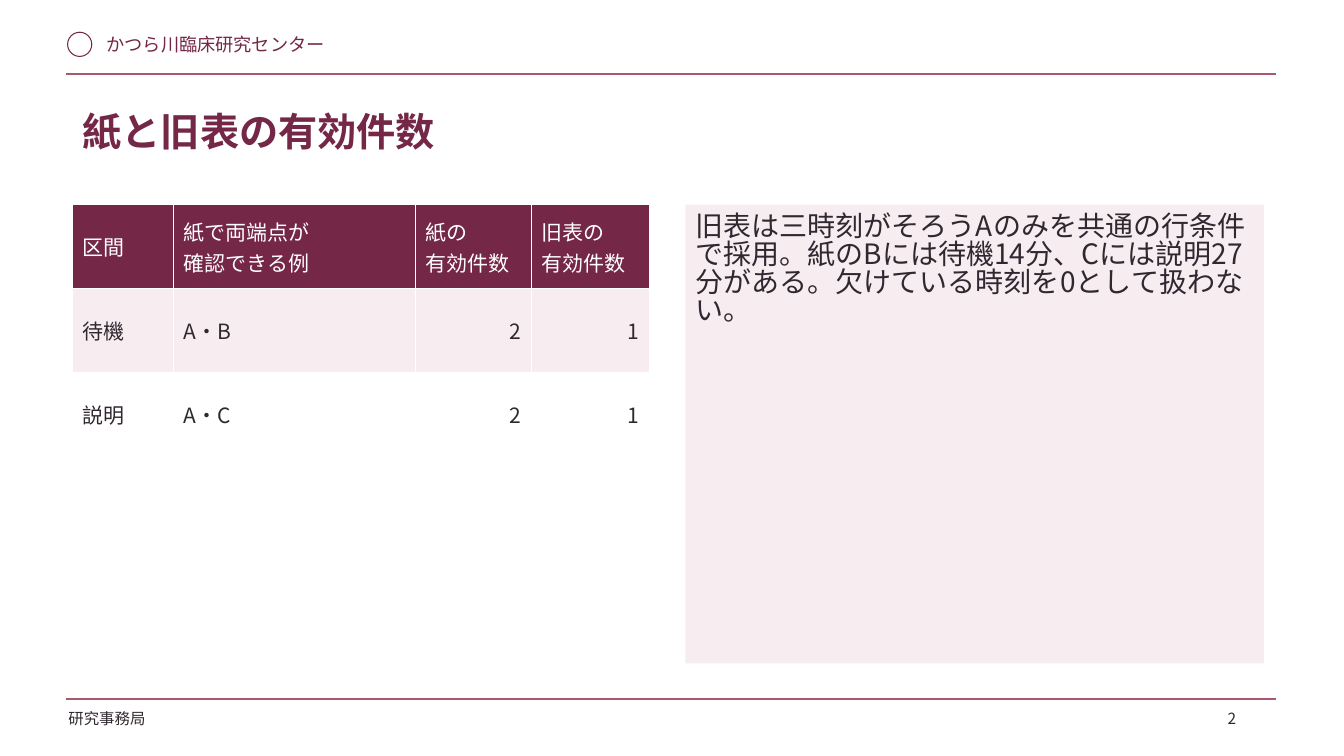
from dataclasses import dataclass

from lxml.etree import SubElement
from pptx import Presentation
from pptx.dml.color import RGBColor
from pptx.enum.shapes import MSO_CONNECTOR, MSO_SHAPE
from pptx.enum.text import MSO_ANCHOR, PP_ALIGN
from pptx.oxml.ns import qn
from pptx.util import Inches, Pt


@dataclass(frozen=True)
class Theme:
    """Colours, type sizes and font of the slide."""
    plum: RGBColor = RGBColor(0x74, 0x27, 0x47)
    rose: RGBColor = RGBColor(0xAB, 0x58, 0x6C)
    blush: RGBColor = RGBColor(0xF7, 0xED, 0xF1)
    ink: RGBColor = RGBColor(0x30, 0x28, 0x30)
    white: RGBColor = RGBColor(0xFF, 0xFF, 0xFF)
    title: int = 28
    body: int = 20
    table: int = 15
    header: int = 13
    footer: int = 11
    font: str = "Noto Sans CJK JP"


THEME = Theme()
WIDTH, HEIGHT = Inches(13.33), Inches(7.5)
LEFT, CONTENT_TOP = 5.4, 27.07
RULE_LEFT, RULE_WIDTH = 4.95, 90
COLUMNS = (1, 2.4, 1.15, 1.17)
ROWS = (
    ("区間", "紙で両端点が\n確認できる例", "紙の\n有効件数", "旧表の\n有効件数"),
    ("待機", "A・B", "2", "1"),
    ("説明", "A・C", "2", "1"),
)


def across(share):
    """Turn a percentage of the slide width into a length."""
    return round(WIDTH * share / 100)


def down(share):
    """Turn a percentage of the slide height into a length."""
    return round(HEIGHT * share / 100)


def box(left, top, width, height):
    """Turn percentages of the slide into a position and a size."""
    return across(left), down(top), across(width), down(height)


def write(tf, text, size, color, bold=False, align=PP_ALIGN.LEFT, spacing=None):
    """Set the text of a frame and format its paragraphs and runs."""
    tf.text = text
    for p in tf.paragraphs:
        p.alignment = align
        if spacing:
            p.line_spacing = spacing
        for r in p.runs:
            r.font.size, r.font.bold = Pt(size), bold
            r.font.color.rgb = color
            r.font.name = THEME.font
            SubElement(r.font._element, qn("a:ea")).set("typeface", THEME.font)


def inset(tf):
    """Give a frame equal margins, wrapping and top alignment."""
    tf.margin_left = tf.margin_right = tf.margin_top = tf.margin_bottom = Inches(0.1)
    tf.word_wrap = True
    tf.vertical_anchor = MSO_ANCHOR.TOP


def add_label(s, text, place, size, color):
    """Add a small line of text."""
    tf = s.shapes.add_textbox(*box(*place)).text_frame
    tf.word_wrap = True
    write(tf, text, size, color)


def add_rule(s, top):
    """Add a thin line across the content width."""
    y = down(top)
    line = s.shapes.add_connector(MSO_CONNECTOR.STRAIGHT, across(RULE_LEFT), y,
                                  across(RULE_LEFT + RULE_WIDTH), y)
    line.line.color.rgb = THEME.rose
    line.line.width = Pt(1)
    SubElement(line._element.spPr, qn("a:effectLst"))


def add_mark(s, place):
    """Add the plain ring in the header."""
    sp = s.shapes.add_shape(MSO_SHAPE.OVAL, *box(*place))
    sp.shadow.inherit = False
    sp.fill.background()
    sp.line.color.rgb = THEME.plum
    sp.line.width = Pt(0.75)


def set_title(s, text, place):
    """Place and format the title placeholder."""
    sp = s.shapes.title
    sp.left, sp.top, sp.width, sp.height = box(*place)
    inset(sp.text_frame)
    write(sp.text_frame, text, THEME.title, THEME.plum, bold=True, spacing=0.9)


def add_panel(s, text, place):
    """Add a tinted panel of running text."""
    sp = s.shapes.add_shape(MSO_SHAPE.RECTANGLE, *box(*place))
    sp.shadow.inherit = False
    sp.fill.solid()
    sp.fill.fore_color.rgb = THEME.blush
    sp.line.fill.background()
    inset(sp.text_frame)
    write(sp.text_frame, text, THEME.body, THEME.ink, spacing=0.83)


def add_count_table(s, rows, place):
    """Add the table of valid counts."""
    left, top, width, height = box(*place)
    table = s.shapes.add_table(len(rows), len(COLUMNS), left, top, width, height).table
    for column, share in zip(table.columns, COLUMNS):
        column.width = round(width * share / sum(COLUMNS))
    fills = (THEME.plum, THEME.blush, THEME.white)
    for i, (row, fill) in enumerate(zip(rows, fills)):
        for j, text in enumerate(row):
            cell = table.cell(i, j)
            cell.fill.solid()
            cell.fill.fore_color.rgb = fill
            cell.vertical_anchor = MSO_ANCHOR.MIDDLE
            align = PP_ALIGN.RIGHT if text.isdigit() else PP_ALIGN.LEFT
            color = THEME.ink if i else THEME.white
            write(cell.text_frame, text, THEME.table, color, align=align)


def main():
    """Build the slide and save it."""
    prs = Presentation()
    prs.slide_width, prs.slide_height = WIDTH, HEIGHT
    s = prs.slides.add_slide(prs.slide_layouts[5])
    add_mark(s, (5.03, 4.27, 1.8, 3.2))
    add_label(s, "かつら川臨床研究センター", (7.2, 3.73, 24.75, 4.67),
              THEME.header, THEME.plum)
    for top in (9.8, 92.47):
        add_rule(s, top)
    set_title(s, "紙と旧表の有効件数", (LEFT, 13.6, 89.25, 10.8))
    add_count_table(s, ROWS, (LEFT, CONTENT_TOP, 42.9, 33.33))
    add_panel(s, "旧表は三時刻がそろうAのみを共通の行条件で採用。紙のBには待機14分、"
                 "Cには説明27分がある。欠けている時刻を0として扱わない。",
              (51, CONTENT_TOP, 43.05, 60.67))
    add_label(s, "研究事務局", (4.35, 93.2, 13.5, 4.8), THEME.footer, THEME.ink)
    add_label(s, "2", (90.6, 93.2, 3.38, 3.33), THEME.footer, THEME.ink)
    prs.save("out.pptx")


if __name__ == "__main__":
    main()
